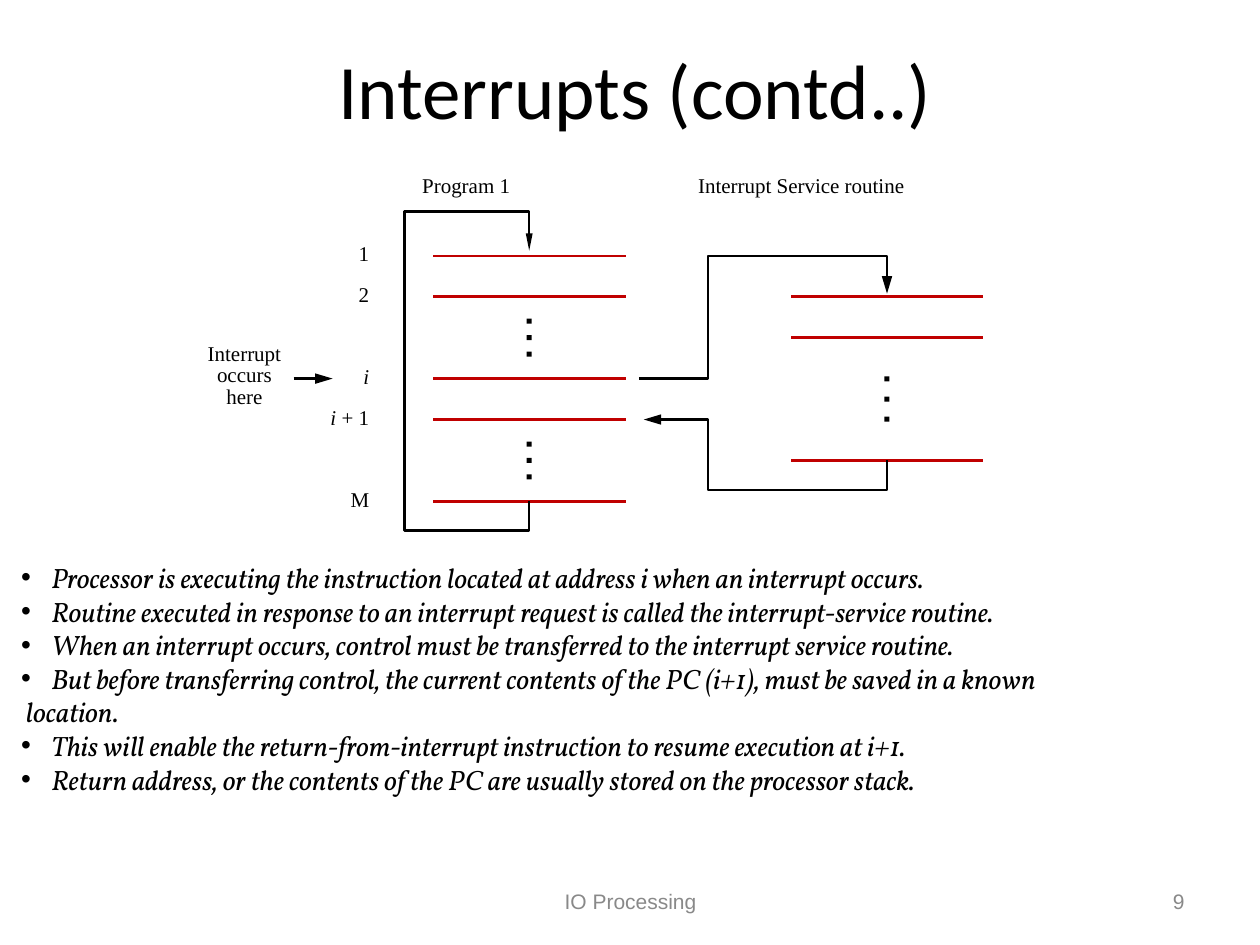
import pptx
import pptx.util
import pptx.dml.color
import pptx.enum.shapes
import pptx.enum.text
import pptx.oxml
import pptx.oxml.ns
from dataclasses import dataclass

Inches = pptx.util.Inches
Pt = pptx.util.Pt
RGB = pptx.dml.color.RGBColor.from_string
Align = pptx.enum.text.PP_ALIGN
Anchor = pptx.enum.text.MSO_ANCHOR
Shapes = pptx.enum.shapes


@dataclass(frozen=True)
class Theme:
    ink: str = "000000"
    instruction: str = "C00000"
    muted: str = "898989"
    title_font: str = "Calibri"
    label_font: str = "Times New Roman"
    body_font: str = "Vollkorn"
    footer_font: str = "Arial"
    title_size: float = 44
    body_size: float = 16
    small_size: float = 12
    stroke: float = 1.39


THEME = Theme()
WIDTH, HEIGHT = 10, 7.5
TITLE = "Interrupts (contd..)"
BULLETS = [
    ("•", "Processor is executing the instruction located at address i when an interrupt occurs."),
    ("•", "Routine executed in response to an interrupt request is called the interrupt-service routine."),
    ("•", "When an interrupt occurs, control must be transferred to the interrupt service routine."),
    ("•", "But before transferring control, the current contents of the PC (i+1), must be saved in a known"),
    ("", "location."),
    ("•", "This will enable the return-from-interrupt instruction to resume execution at i+1."),
    ("•", "Return address, or the contents of the PC are usually stored on the processor stack."),
]
HEADINGS = [("Program 1", 3.7), ("Interrupt Service routine", 6.36)]
CALLOUT = ["Interrupt", "occurs", "here"]
ADDRESSES = [
    (0, [("1", False)]),
    (1, [("2", False)]),
    (3, [("i", True)]),
    (4, [("i", True), (" + 1", False)]),
    (6, [("M", False)]),
]
FOOTERS = [("IO Processing", 3.42, 3.17, Align.CENTER), ("9", 7.17, 2.33, Align.RIGHT)]

FIRST_ROW, ROW_PITCH = 2.03, 0.325
PROGRAM = dict(left=3.44, right=4.97, middle=4.2, rows=[0, 1, 3, 4, 6])
SERVICE = dict(left=6.28, right=7.8, middle=7.04, rows=[1, 2, 5])
DOT_GROUPS = [(PROGRAM, 2, 0.13), (PROGRAM, 5, 0.13), (SERVICE, 3.5, 0.16)]
DOT_SIZE = 0.04
LOOP_LEFT, LOOP_TOP, LOOP_BOTTOM = 3.21, 1.68, 4.21
BRIDGE, SERVICE_BOTTOM = 5.62, 3.89


def row_y(row):
    return FIRST_ROW + ROW_PITCH * row


ROUTES = [
    ([(PROGRAM["middle"], row_y(6)), (PROGRAM["middle"], LOOP_BOTTOM), (LOOP_LEFT, LOOP_BOTTOM),
      (LOOP_LEFT, LOOP_TOP), (PROGRAM["middle"], LOOP_TOP), (PROGRAM["middle"], 1.99)], "sm"),
    ([(5.07, row_y(3)), (BRIDGE, row_y(3)), (BRIDGE, row_y(0)),
      (SERVICE["middle"], row_y(0)), (SERVICE["middle"], 2.33)], "med"),
    ([(SERVICE["middle"], row_y(5)), (SERVICE["middle"], SERVICE_BOTTOM),
      (BRIDGE, SERVICE_BOTTOM), (BRIDGE, row_y(4)), (5.11, row_y(4))], "med"),
]


def add_child(parent, tag, **attributes):
    child = pptx.oxml.parse_xml(f"<{tag} {pptx.oxml.ns.nsdecls('a')}/>")
    for name, value in attributes.items():
        child.set(name, value)
    parent.append(child)


def add_run(paragraph, text, font, size, color=THEME.ink, italic=False):
    run = paragraph.add_run()
    run.text = text
    run.font.name, run.font.size, run.font.italic = font, Pt(size), italic
    run.font.color.rgb = RGB(color)


def add_box(slide, left, top, width, height, wrap=True, inset=(0.1, 0.05)):
    box = slide.shapes.add_textbox(*map(Inches, (left, top, width, height)))
    frame = box.text_frame
    frame.word_wrap = wrap
    frame.margin_left = frame.margin_right = Inches(inset[0])
    frame.margin_top = frame.margin_bottom = Inches(inset[1])
    return frame


def add_label(slide, left, top, width, lines, align, spacing=None):
    frame = add_box(slide, left, top, width, 0.2 * len(lines), inset=(0, 0))
    for index, runs in enumerate(lines):
        paragraph = frame.add_paragraph() if index else frame.paragraphs[0]
        paragraph.alignment = align
        paragraph.line_spacing = spacing
        for text, italic in runs:
            add_run(paragraph, text, THEME.label_font, THEME.small_size, italic=italic)


def style_line(line, color, arrow=None):
    line.color.rgb = RGB(color)
    line.width = Pt(THEME.stroke)
    if arrow:
        add_child(line._get_or_add_ln(), "a:tailEnd", type="triangle", w=arrow, len="lg")


def add_line(slide, start, end, color, arrow=None):
    connector = slide.shapes.add_connector(
        Shapes.MSO_CONNECTOR.STRAIGHT, *map(Inches, (*start, *end)))
    style_line(connector.line, color, arrow)
    add_child(connector._element.spPr, "a:effectLst")


def add_route(slide, points, arrow):
    start, *rest = [tuple(map(Inches, point)) for point in points]
    builder = slide.shapes.build_freeform(*start)
    builder.add_line_segments(rest, close=False)
    route = builder.convert_to_shape()
    route.shadow.inherit = False
    route.fill.background()
    style_line(route.line, THEME.ink, arrow)


def add_dots(slide, column, row, step):
    for offset in (-step, 0, step):
        left, top = column["middle"] - DOT_SIZE / 2, row_y(row) + offset - DOT_SIZE / 2
        dot = slide.shapes.add_shape(
            Shapes.MSO_SHAPE.RECTANGLE, *map(Inches, (left, top, DOT_SIZE, DOT_SIZE)))
        dot.shadow.inherit = False
        dot.fill.solid()
        dot.fill.fore_color.rgb = RGB(THEME.ink)
        dot.line.fill.background()


def add_title(slide):
    title = slide.shapes.title
    title.left, title.top, title.width, title.height = map(Inches, (0.5, 0.08, 9.08, 1.25))
    title.text_frame.vertical_anchor = Anchor.MIDDLE
    paragraph = title.text_frame.paragraphs[0]
    paragraph.alignment = Align.CENTER
    add_run(paragraph, TITLE, THEME.title_font, THEME.title_size)


def add_diagram(slide):
    for text, center in HEADINGS:
        add_label(slide, center - 1, 1.37, 2, [[(text, False)]], Align.CENTER)
    add_label(slide, 1.44, 2.73, 1, [[(word, False)] for word in CALLOUT], Align.CENTER, Pt(12.3))
    for row, runs in ADDRESSES:
        add_label(slide, 2.43, row_y(row) - 0.12, 0.5, [runs], Align.RIGHT)
    for column in (PROGRAM, SERVICE):
        for row in column["rows"]:
            add_line(slide, (column["left"], row_y(row)), (column["right"], row_y(row)),
                     THEME.instruction)
    add_line(slide, (2.33, row_y(3)), (2.64, row_y(3)), THEME.ink, "med")
    for points, arrow in ROUTES:
        add_route(slide, points, arrow)
    for column, row, step in DOT_GROUPS:
        add_dots(slide, column, row, step)


def add_bullets(slide):
    frame = add_box(slide, 0.07, 4.4, 9.93, 1.97, wrap=False)
    for index, (bullet, text) in enumerate(BULLETS):
        paragraph = frame.add_paragraph() if index else frame.paragraphs[0]
        paragraph.alignment = Align.LEFT
        properties = paragraph._p.get_or_add_pPr()
        margin, indent = (0.24, -0.24) if bullet else (0.04, 0)
        properties.set("marL", str(Inches(margin)))
        properties.set("indent", str(Inches(indent)))
        if bullet:
            add_child(properties, "a:buFont", typeface="Arial")
            add_child(properties, "a:buChar", char=bullet)
        add_run(paragraph, text, THEME.body_font, THEME.body_size, italic=True)


def add_footers(slide):
    for text, left, width, align in FOOTERS:
        frame = add_box(slide, left, 6.95, width, 0.4)
        frame.vertical_anchor = Anchor.MIDDLE
        frame.paragraphs[0].alignment = align
        add_run(frame.paragraphs[0], text, THEME.footer_font, THEME.small_size, THEME.muted)


def main():
    presentation = pptx.Presentation()
    presentation.slide_width, presentation.slide_height = Inches(WIDTH), Inches(HEIGHT)
    slide = presentation.slides.add_slide(presentation.slide_layouts[5])
    add_title(slide)
    add_diagram(slide)
    add_bullets(slide)
    add_footers(slide)
    presentation.save("out.pptx")


if __name__ == "__main__":
    main()
